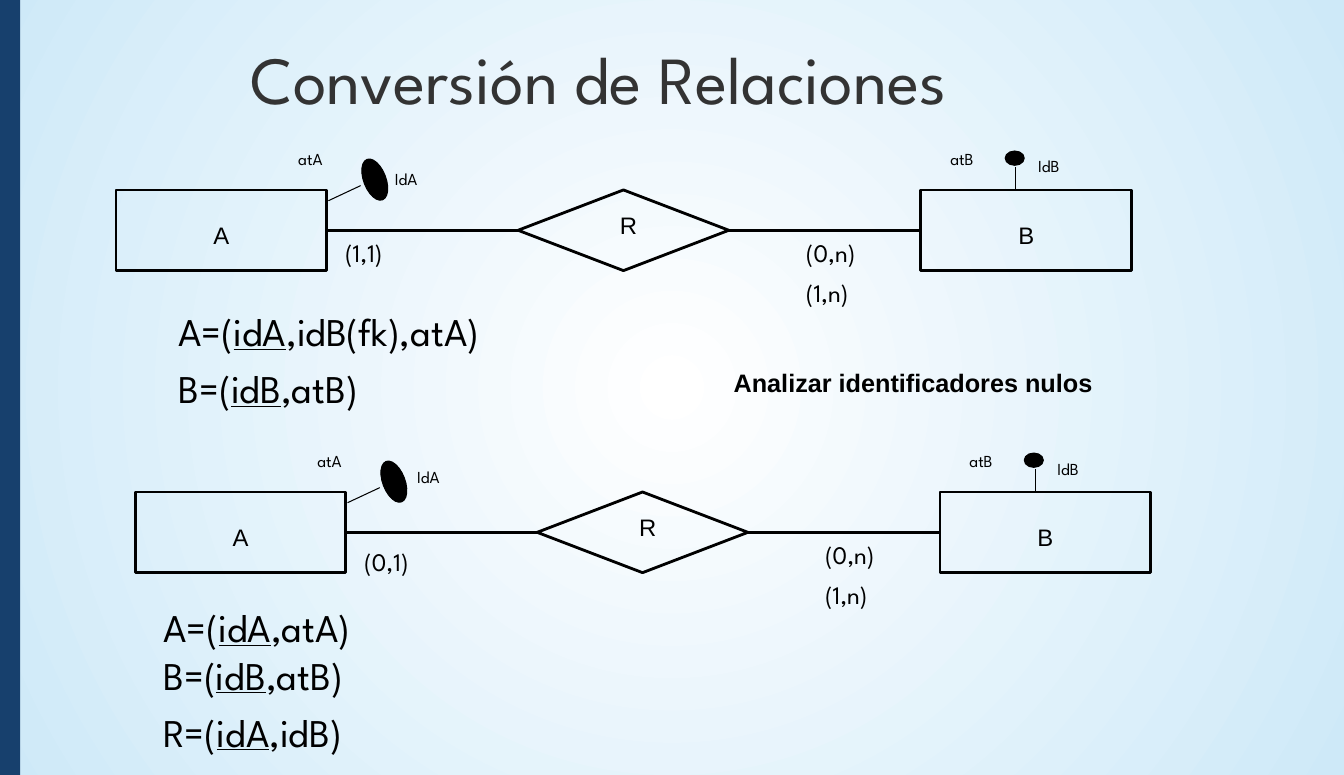
from lxml import etree
from pptx import Presentation
from pptx import util as u
from pptx.dml.color import RGBColor
from pptx.enum import shapes, text
from pptx.oxml.ns import qn

BLACK = RGBColor(0x00, 0x00, 0x00)
TITLE_GRAY = RGBColor(0x33, 0x33, 0x33)
NAVY = RGBColor(0x17, 0x40, 0x6D)
WHITE = RGBColor(0xFF, 0xFF, 0xFF)
SKY = RGBColor(0xCE, 0xE9, 0xF8)

KIND = shapes.MSO_SHAPE
TOP, LEFT, BOTTOM, RIGHT = range(4)
PAGE_WIDTH, PAGE_HEIGHT = 33.8, 19.5


class Painter:
    """Holds the style and the current slide; lengths are centimetres."""
    display_font = "League Spartan"
    label_font = "Arial"
    thick, thin = 2, 0.75

    def __init__(self, page):
        self.page = page

    def background(self, center, edge):
        fill = self.page.background.fill
        fill.gradient()
        for stop, color in zip(fill.gradient_stops, (center, edge)):
            stop.color.rgb = color
        gradient = self.page.element.find(".//" + qn("a:gradFill"))
        gradient.remove(gradient.find(qn("a:lin")))
        circle = etree.SubElement(gradient, qn("a:path"), path="circle")
        etree.SubElement(circle, qn("a:fillToRect"),
                         l="50000", t="50000", r="50000", b="50000")

    def shape(self, kind, x, y, width, height, fill=None, line=None, turn=0):
        shape = self.page.shapes.add_shape(
            kind, u.Cm(x), u.Cm(y), u.Cm(width), u.Cm(height))
        shape.shadow.inherit = False
        shape.rotation = turn
        if fill is None:
            shape.fill.background()
        else:
            shape.fill.solid()
            shape.fill.fore_color.rgb = fill
        if line is None:
            shape.line.fill.background()
        else:
            shape.line.color.rgb = BLACK
            shape.line.width = u.Pt(line)
        return shape

    def named_shape(self, kind, x, y, name, insets):
        shape = self.shape(kind, x, y, 5.3, 2.03, line=self.thick)
        frame = shape.text_frame
        self.insets(frame, *insets)
        frame.word_wrap = False
        frame.vertical_anchor = text.MSO_ANCHOR.MIDDLE
        para = frame.paragraphs[0]
        para.text = name
        para.alignment = text.PP_ALIGN.CENTER
        self.font(para, 17, self.label_font)
        return shape

    def line(self, start, end, width):
        points = [u.Cm(value) for value in (*start, *end)]
        line = self.page.shapes.add_connector(
            shapes.MSO_CONNECTOR.STRAIGHT, *points)
        line.line.color.rgb = BLACK
        line.line.width = u.Pt(width)
        etree.SubElement(line.element.spPr, qn("a:effectLst"))
        return line

    def join(self, first, first_side, second, second_side):
        line = self.line((0, 0), (1, 1), self.thick)
        line.begin_connect(first, first_side)
        line.end_connect(second, second_side)

    def insets(self, frame, left, top, right, bottom):
        frame.margin_left, frame.margin_top = u.Cm(left), u.Cm(top)
        frame.margin_right, frame.margin_bottom = u.Cm(right), u.Cm(bottom)

    def font(self, para, size, name, color=BLACK, bold=False):
        para.font.size = u.Pt(size)
        para.font.name = name
        para.font.color.rgb = color
        para.font.bold = bold

    def frame(self, x, y, width, height):
        box = self.page.shapes.add_textbox(
            u.Cm(x), u.Cm(y), u.Cm(width), u.Cm(height))
        box.text_frame.word_wrap = True
        self.insets(box.text_frame, 0.3, 0.15, 0.3, 0.15)
        return box.text_frame

    def label(self, words, x, y, width=3.18, height=0.81, size=12,
              color=BLACK):
        para = self.frame(x, y, width, height).paragraphs[0]
        para.text = words
        self.font(para, size, self.display_font, color)

    def note(self, words, x, y, width, height):
        frame = self.frame(x, y, width, height)
        self.insets(frame, 0.25, 0.13, 0.25, 0.13)
        para = frame.paragraphs[0]
        para.text = words
        para.line_spacing = 0.93
        self.font(para, 18, self.label_font, bold=True)

    def schema(self, relations, x, y, width, height):
        """Write each relation as name=(key,rest) with its key underlined."""
        frame = self.frame(x, y, width, height)
        for index, (name, key, rest) in enumerate(relations):
            para = frame.add_paragraph() if index else frame.paragraphs[0]
            for words in (f"{name}=(", key, f",{rest})"):
                span = para.add_run()
                span.text = words
                if words == key:
                    span.font.underline = True
            self.font(para, 28, self.display_font)
        para.space_before = u.Pt(7)

    def diagram(self, dx, dy, cardinality, cardinality_y, id_x, id_y):
        # Entities and relationship
        entity_insets = (0.25, 0.25, 0.25, 0)
        a = self.named_shape(KIND.RECTANGLE, 2.92 + dx, 4.78 + dy,
                             "A", entity_insets)
        r = self.named_shape(KIND.FLOWCHART_DECISION, 13.03 + dx, 4.78 + dy,
                             "R", (0.26, 0, 0, 0.28))
        b = self.named_shape(KIND.RECTANGLE, 23.16 + dx, 4.78 + dy,
                             "B", entity_insets)
        self.join(r, LEFT, a, RIGHT)
        self.join(r, RIGHT, b, LEFT)

        # Identifier pins
        self.line((8.26 + dx, 5.05 + dy), (9.07 + dx, 4.67 + dy), self.thin)
        self.shape(KIND.OVAL, 8.88 + dx, 4.24 + dy, 1.09, 0.56,
                   BLACK, self.thin, 69)
        self.line((25.55 + dx, 4.78 + dy), (25.55 + dx, 4.19 + dy), self.thin)
        self.shape(KIND.OVAL, 25.28 + dx, 3.8 + dy, 0.48, 0.36,
                   BLACK, self.thin)

        # Attribute names
        self.label("atA", 7.2 + dx, 3.58 + dy)
        self.label("IdA", id_x, id_y)
        self.label("atB", 23.6 + dx, 3.6 + dy)
        self.label("IdB", 25.81 + dx, 3.78 + dy)

        # Cardinalities
        for words, x, y in ((cardinality, 8.38 + dx, cardinality_y),
                            ("(0,n)", 19.97 + dx, 5.82 + dy),
                            ("(1,n)", 19.97 + dx, 6.82 + dy)):
            self.label(words, x, y, 3.73, 1.07, 18)


def main():
    deck = Presentation()
    deck.slide_width, deck.slide_height = u.Cm(PAGE_WIDTH), u.Cm(PAGE_HEIGHT)
    painter = Painter(deck.slides.add_slide(deck.slide_layouts[6]))

    # Backdrop and title
    painter.background(WHITE, SKY)
    painter.shape(KIND.RECTANGLE, 0, 0, 0.51, PAGE_HEIGHT, NAVY)
    painter.label("Conversión de Relaciones", 6.01, 0.79, 26, 2.82, 48,
                  TITLE_GRAY)

    # Mandatory relationship
    painter.diagram(0, 0, "(1,1)", 5.82, 9.63, 4.09)
    painter.schema([("A", "idA", "idB(fk),atA"), ("B", "idB", "atB")],
                   4.19, 7.59, 13, 2.97)
    painter.note("Analizar identificadores nulos", 18.2, 9.19, 10.59, 1.19)

    # Optional relationship
    painter.diagram(0.48, 7.6, "(0,1)", 13.6, 10.19, 11.6)
    painter.schema([("A", "idA", "atA"), ("B", "idB", "atB"),
                    ("R", "idA", "idB")], 3.81, 15.04, 9.19, 4.17)

    deck.save("out.pptx")


if __name__ == "__main__":
    main()
